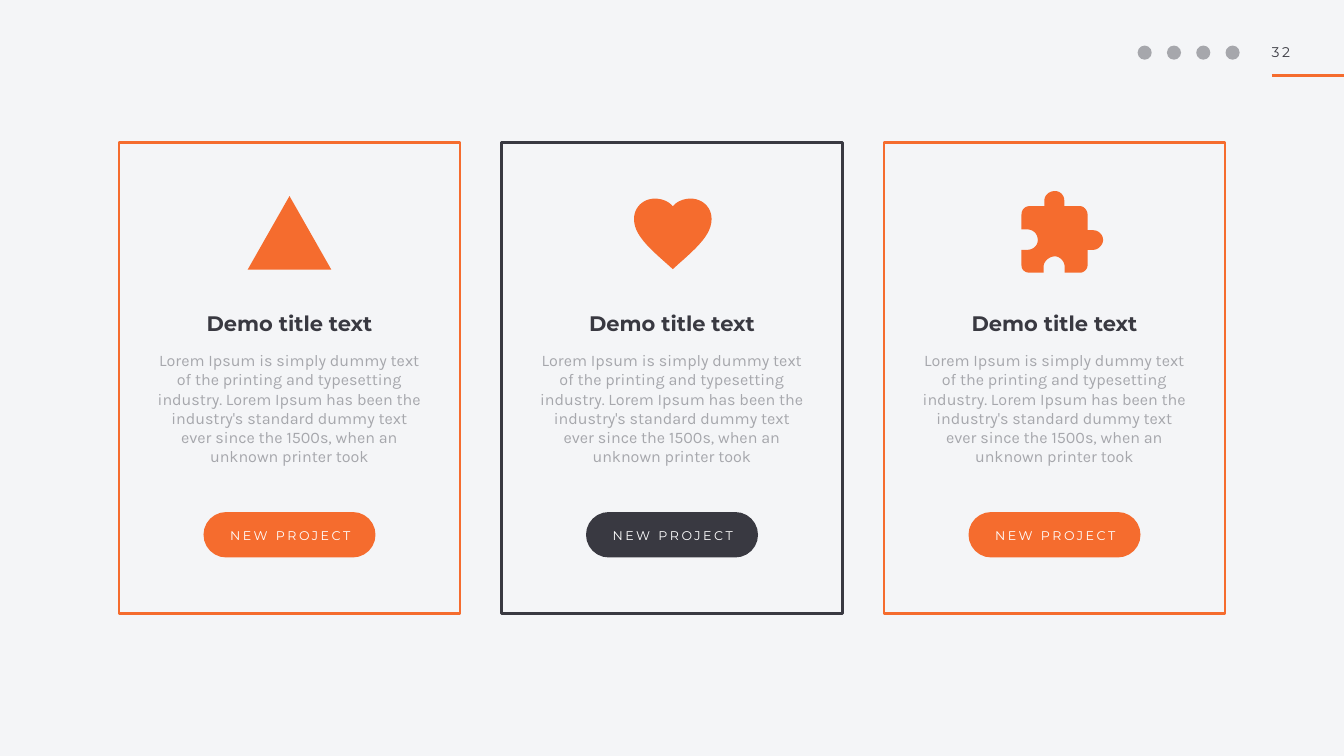
from pptx import Presentation
from pptx.dml.color import RGBColor
from pptx.enum.shapes import MSO_CONNECTOR, MSO_SHAPE
from pptx.enum.text import MSO_ANCHOR, PP_ALIGN
from pptx.oxml import parse_xml
from pptx.oxml.ns import nsdecls
from pptx.util import Inches, Pt

ORANGE, DARK, GREY = "F56C2E", "393941", "A6A7AC"
WHITE, PAPER = "FFFFFF", "F4F5F7"

CARD_STEP = 28.46
TITLE = "Demo title text"
BODY = ("Lorem Ipsum is simply dummy text of the printing and typesetting "
        "industry. Lorem Ipsum has been the industry's standard dummy text "
        "ever since the 1500s, when an unknown printer took")
BUTTON = "NEW PROJECT"

# Icon outlines in percent of the icon's box: one point is a line, three a curve
TRIANGLE = [[(50, 0)], [(100, 100)], [(0, 100)]]
HEART = [
    [(50, 100)], [(43, 93)],
    [(17, 68), (0, 50), (0, 29)], [(0, 12), (12, 0), (27, 0)],
    [(36, 0), (45, 4), (50, 11)], [(55, 4), (64, 0), (73, 0)],
    [(88, 0), (100, 12), (100, 29)], [(100, 50), (83, 68), (57, 93)],
]
PUZZLE = [
    [(88, 48)], [(81, 48)], [(81, 29)],
    [(81, 23), (76, 18.5), (72, 18.5)], [(52.5, 18.5)], [(52.5, 12)],
    [(52.5, 5), (47.5, 0), (41, 0)], [(34, 0), (28, 5), (28, 12)],
    [(28, 18.5)], [(10, 18.5)], [(4, 18.5), (0, 23), (0, 29)],
    [(0, 47)], [(7, 47)],
    [(14, 47), (20, 52), (20, 60)], [(20, 67), (14, 72), (7, 72)],
    [(0, 72)], [(0, 91)], [(0, 96), (4, 100), (10, 100)],
    [(27, 100)], [(27, 93)],
    [(27, 86), (34, 80), (41, 80)], [(47, 80), (53, 86), (53, 93)],
    [(53, 100)], [(72, 100)], [(76, 100), (81, 96), (81, 91)],
    [(81, 72)], [(88, 72)],
    [(94, 72), (100, 66), (100, 60)], [(100, 53), (94, 48), (88, 48)],
]


def color(code):
    return RGBColor.from_string(code)


def write(frame, text, font="Montserrat", size=20, ink=DARK, bold=False,
          align=PP_ALIGN.CENTER, anchor=MSO_ANCHOR.MIDDLE, tracking=0,
          leading=None):
    """Put one formatted paragraph in a text frame; tracking is in points."""
    frame.word_wrap = True
    frame.vertical_anchor = anchor
    frame.margin_left = frame.margin_right = Inches(0.04)
    frame.margin_top = frame.margin_bottom = Inches(0.04)
    paragraph = frame.paragraphs[0]
    paragraph.alignment = align
    if leading:
        paragraph.line_spacing = leading
    run = paragraph.add_run()
    run.text = text
    run.font.name, run.font.size, run.font.bold = font, Pt(size), bold
    run.font.color.rgb = color(ink)
    if tracking:
        run._r.get_or_add_rPr().set("spc", str(round(tracking * 100)))


def trace(outline, steps=12):
    """Turn lines and Bezier curves into a list of points."""
    points = []
    for segment in outline:
        if len(segment) == 1:
            points += segment
            continue
        corners = [points[-1], *segment]
        for step in range(1, steps + 1):
            t = step / steps
            weights = ((1 - t) ** 3, 3 * t * (1 - t) ** 2,
                       3 * t * t * (1 - t), t ** 3)
            points.append(tuple(
                sum(w * corner[axis] for w, corner in zip(weights, corners))
                for axis in (0, 1)))
    return points


class Deck:
    """Current slide; lengths are percent of the slide's width and height."""

    def __init__(self, width, height):
        self.file = Presentation()
        self.file.slide_width, self.file.slide_height = width, height
        self.slide = self.file.slides.add_slide(self.file.slide_layouts[6])
        self.slide.background.fill.solid()
        self.slide.background.fill.fore_color.rgb = color(PAPER)

    def x(self, share):
        return round(self.file.slide_width * share / 100)

    def y(self, share):
        return round(self.file.slide_height * share / 100)

    def box(self, center, top, width, height):
        return (self.x(center - width / 2), self.y(top),
                self.x(width), self.y(height))

    def paint(self, shape, fill=None, line=None, weight=1):
        shape.shadow.inherit = False
        if fill:
            shape.fill.solid()
            shape.fill.fore_color.rgb = color(fill)
        else:
            shape.fill.background()
        if line:
            shape.line.color.rgb = color(line)
            shape.line.width = Pt(weight)
        else:
            shape.line.fill.background()

    def shape(self, kind, *place, **look):
        shape = self.slide.shapes.add_shape(kind, *self.box(*place))
        self.paint(shape, **look)
        return shape

    def text(self, text, *place, **style):
        area = self.slide.shapes.add_textbox(*self.box(*place))
        write(area.text_frame, text, **style)

    def rule(self, start, end, top, ink, weight):
        rule = self.slide.shapes.add_connector(
            MSO_CONNECTOR.STRAIGHT, self.x(start), self.y(top),
            self.x(end), self.y(top))
        rule.line.color.rgb = color(ink)
        rule.line.width = Pt(weight)
        rule._element.spPr.append(
            parse_xml(f"<a:effectLst {nsdecls('a')}/>"))

    def icon(self, outline, *place):
        left, top, width, height = self.box(*place)
        points = [(left + width * px / 100, top + height * py / 100)
                  for px, py in trace(outline)]
        builder = self.slide.shapes.build_freeform(*points[0])
        builder.add_line_segments(points[1:], close=True)
        self.paint(builder.convert_to_shape(), fill=ORANGE)

    def card(self, center, accent, outline, icon_shift, *icon_size):
        self.shape(MSO_SHAPE.RECTANGLE, center, 18.8, 25.38, 62.33,
                   line=accent, weight=4)
        self.icon(outline, center + icon_shift, *icon_size)
        self.text(TITLE, center, 41, 14.92, 4, size=30, bold=True,
                  leading=0.8)
        self.text(BODY, center, 46.07, 20.06, 16.2, font="Karla", size=23,
                  ink=GREY, anchor=MSO_ANCHOR.TOP)
        button = self.shape(MSO_SHAPE.ROUNDED_RECTANGLE, center, 67.87,
                            12.64, 5.73, fill=accent, line=accent, weight=3)
        button.adjustments[0] = 0.5
        self.text(BUTTON, center + 0.06, 69.47, 10.05, 2.6, size=18,
                  ink=WHITE, tracking=3.6)


def main():
    deck = Deck(Inches(26.67), Inches(15))

    # Header: social marks, page number and rule
    for mark in range(4):
        deck.shape(MSO_SHAPE.OVAL, 85.17 + 2.18 * mark, 6.03, 1.05, 1.87,
                   fill=GREY)
    deck.text("32", 95.69, 5.53, 2.47, 2.8, align=PP_ALIGN.LEFT,
              anchor=MSO_ANCHOR.TOP, tracking=4)
    deck.rule(94.64, 100, 10, ORANGE, 4)

    # Cards: accent, icon, then the icon's shift, top, width and height
    cards = [
        (ORANGE, TRIANGLE, 0, 25.93, 6.22, 9.73),
        (DARK, HEART, 0.06, 26.27, 5.77, 9.33),
        (ORANGE, PUZZLE, 0.58, 25.27, 6.07, 10.8),
    ]
    for column, card in enumerate(cards):
        deck.card(50 + CARD_STEP * (column - 1), *card)

    deck.file.save("out.pptx")


if __name__ == "__main__":
    main()
